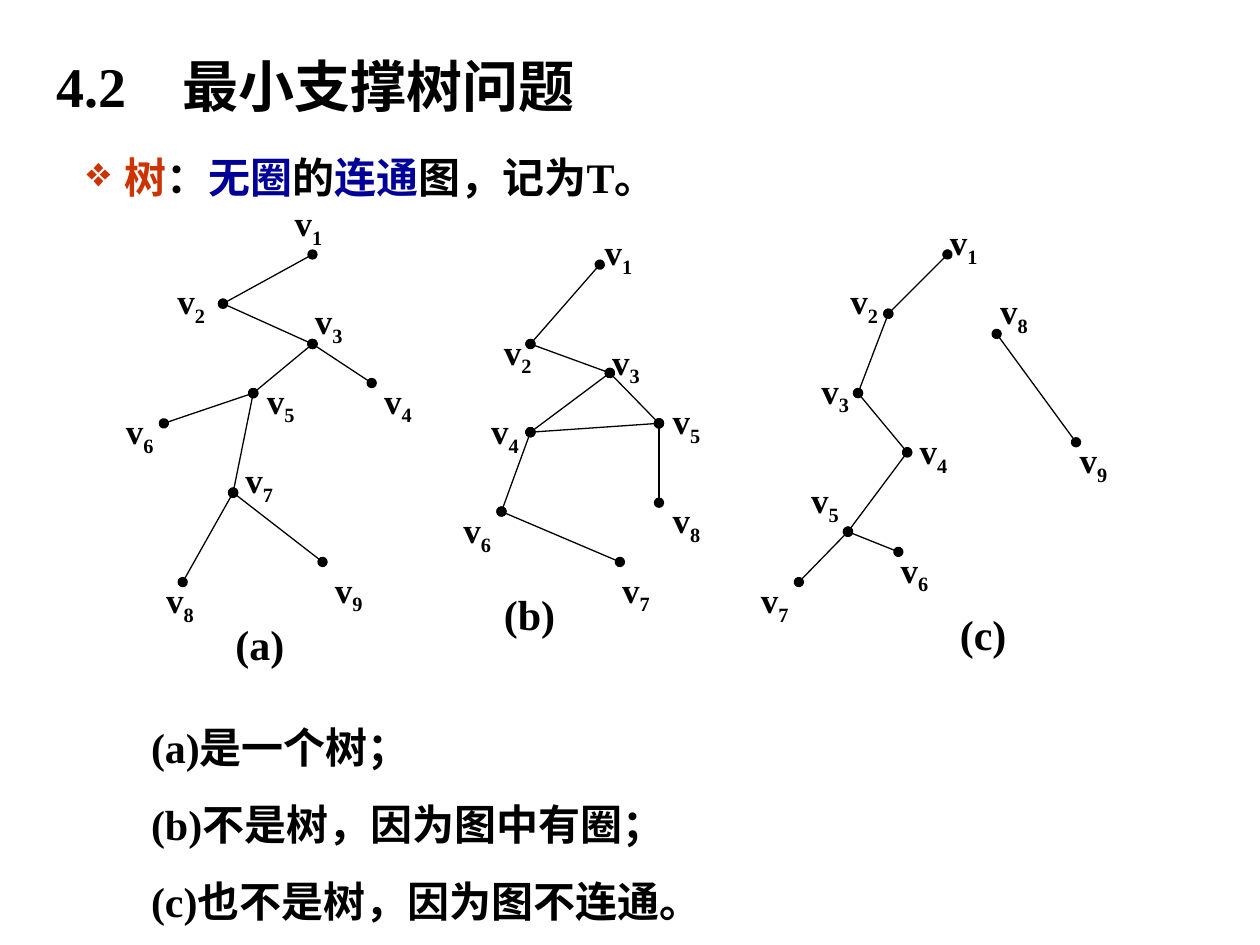
from lxml.etree import SubElement
from pptx import Presentation
from pptx.dml.color import RGBColor
from pptx.enum.shapes import MSO_CONNECTOR as Connector
from pptx.enum.text import MSO_AUTO_SIZE as AutoSize
from pptx.oxml.ns import qn
from pptx.util import Inches, Pt

BLACK, RED, BLUE = "000000", "CC3300", "000099"

GRAPHS = [
    {
        "caption": ("(a)", 1.77, 4.86, 0.59),
        "vertices": {
            1: (2.48, 2.02), 2: (1.77, 2.41), 3: (2.48, 2.73),
            4: (2.95, 3.04), 5: (2.01, 3.12), 6: (1.3, 3.36),
            7: (1.85, 3.91), 8: (1.45, 4.62), 9: (2.56, 4.46),
        },
        "labels": {
            1: (2.24, 1.55), 2: (1.31, 2.17), 3: (2.4, 2.33),
            4: (2.95, 2.96), 5: (2.02, 2.96), 6: (0.9, 3.2),
            7: (1.85, 3.59), 8: (1.22, 4.54), 9: (2.56, 4.46),
        },
        "edges": [(1, 2), (2, 3), (3, 4), (3, 5), (5, 6), (5, 7), (7, 9), (7, 8)],
    },
    {
        "caption": ("(b)", 3.9, 4.62, 0.61),
        "vertices": {
            1: (4.76, 2.1), 2: (4.21, 2.73), 3: (4.84, 2.96),
            4: (4.21, 3.43), 5: (5.23, 3.36), 6: (3.98, 4.06),
            7: (4.92, 4.46), 8: (5.23, 3.99),
        },
        "labels": {
            1: (4.7, 1.78), 2: (3.9, 2.57), 3: (4.76, 2.65),
            4: (3.8, 3.2), 5: (5.24, 3.12), 6: (3.58, 3.99),
            7: (4.84, 4.46), 8: (5.24, 3.91),
        },
        "edges": [(1, 2), (2, 3), (3, 4), (4, 5), (3, 5), (5, 8), (4, 6), (6, 7)],
    },
    {
        "caption": ("(c)", 7.52, 4.78, 0.57),
        "vertices": {
            1: (7.52, 2.02), 2: (7.05, 2.49), 3: (6.81, 3.12),
            4: (7.2, 3.59), 5: (6.73, 4.22), 6: (7.13, 4.38),
            7: (6.34, 4.62), 8: (7.91, 2.65), 9: (8.54, 3.51),
        },
        "labels": {
            1: (7.44, 1.7), 2: (6.65, 2.17), 3: (6.42, 2.88),
            4: (7.2, 3.36), 5: (6.34, 3.75), 6: (7.05, 4.3),
            7: (5.94, 4.54), 8: (7.84, 2.25), 9: (8.47, 3.43),
        },
        "edges": [(1, 2), (2, 3), (3, 4), (4, 5), (5, 6), (5, 7), (8, 9)],
    },
]


def color(value):
    return RGBColor.from_string(value)


class TreeSlide:
    font_name = "Times New Roman"

    def __init__(self, presentation):
        self.slide = presentation.slides.add_slide(presentation.slide_layouts[6])

    def style(self, paragraph, size):
        font = paragraph.font
        font.name, font.size, font.bold = self.font_name, Pt(size), True
        font.color.rgb = color(BLACK)

    def text(self, lines, left, top, width, height, size=24, wrap=True):
        box = self.slide.shapes.add_textbox(
            Inches(left), Inches(top), Inches(width), Inches(height))
        frame = box.text_frame
        frame.word_wrap = wrap
        frame.auto_size = AutoSize.SHAPE_TO_FIT_TEXT
        frame.text = "\n".join(lines)
        for paragraph in frame.paragraphs:
            self.style(paragraph, size)
        return frame.paragraphs

    def title(self, number, words):
        paragraph = self.text([f"{number}\t{words}"], 0.35, 0.36, 8.75, 0.64, 32)[0]
        tabs = SubElement(paragraph.font._element.getparent(), qn("a:tabLst"))
        SubElement(tabs, qn("a:tab"), pos=str(Inches(1)), algn="l")
        tabs.getparent().insert(0, tabs)

    def definition(self, parts):
        paragraph = self.text([""], 0.59, 1.15, 9, 0.5)[0]
        properties = paragraph._p.get_or_add_pPr()
        properties.set("marL", str(Inches(0.3)))
        properties.set("indent", str(-Inches(0.3)))
        bullet_color = SubElement(properties, qn("a:buClr"))
        SubElement(bullet_color, qn("a:srgbClr"), val=RED)
        bullet = SubElement(properties, qn("a:buChar"), char="❖")
        properties.insert(0, bullet)
        properties.insert(0, bullet_color)
        for words, value in parts:
            run = paragraph.add_run()
            run.text = words
            run.font.color.rgb = color(value)

    def edge(self, start, end):
        points = [Inches(value) for value in (*start, *end)]
        connector = self.slide.shapes.add_connector(Connector.STRAIGHT, *points)
        connector.line.color.rgb = color(BLACK)
        connector.line.width = Pt(0.75)
        line = connector.line._get_or_add_ln()
        for end_name in ("a:headEnd", "a:tailEnd"):
            SubElement(line, qn(end_name), type="oval")
        SubElement(connector._element.spPr, qn("a:effectLst"))

    def label(self, number, left, top):
        paragraph = self.text(["v"], left, top, 0.47, 0.48, 20)[0]
        run = paragraph.add_run()
        run.text = str(number)
        run.font._element.set("baseline", "-25000")

    def graph(self, caption, vertices, labels, edges):
        for start, end in edges:
            self.edge(vertices[start], vertices[end])
        for number, position in labels.items():
            self.label(number, *position)
        words, left, top, width = caption
        self.text([words], left, top, width, 0.5, wrap=False)

    def conclusions(self, lines):
        paragraphs = self.text(lines, 0.43, 5.68, 9.21, 1.72)
        for index, paragraph in enumerate(paragraphs):
            paragraph._p.get_or_add_pPr().set("marL", str(Inches(0.67)))
            if index:
                paragraph.space_before = Pt(15)


def main():
    presentation = Presentation()
    presentation.slide_width, presentation.slide_height = Inches(10), Inches(7.5)
    page = TreeSlide(presentation)
    page.title("4.2", "最小支撑树问题")
    page.definition([
        ("树", RED), ("：", BLACK), ("无圈", BLUE), ("的", BLACK),
        ("连通", BLUE), ("图，记为T。", BLACK),
    ])
    for graph in GRAPHS:
        page.graph(**graph)
    page.conclusions([
        "(a)是一个树；",
        "(b)不是树，因为图中有圈；",
        "(c)也不是树，因为图不连通。",
    ])
    presentation.save("out.pptx")


if __name__ == "__main__":
    main()
